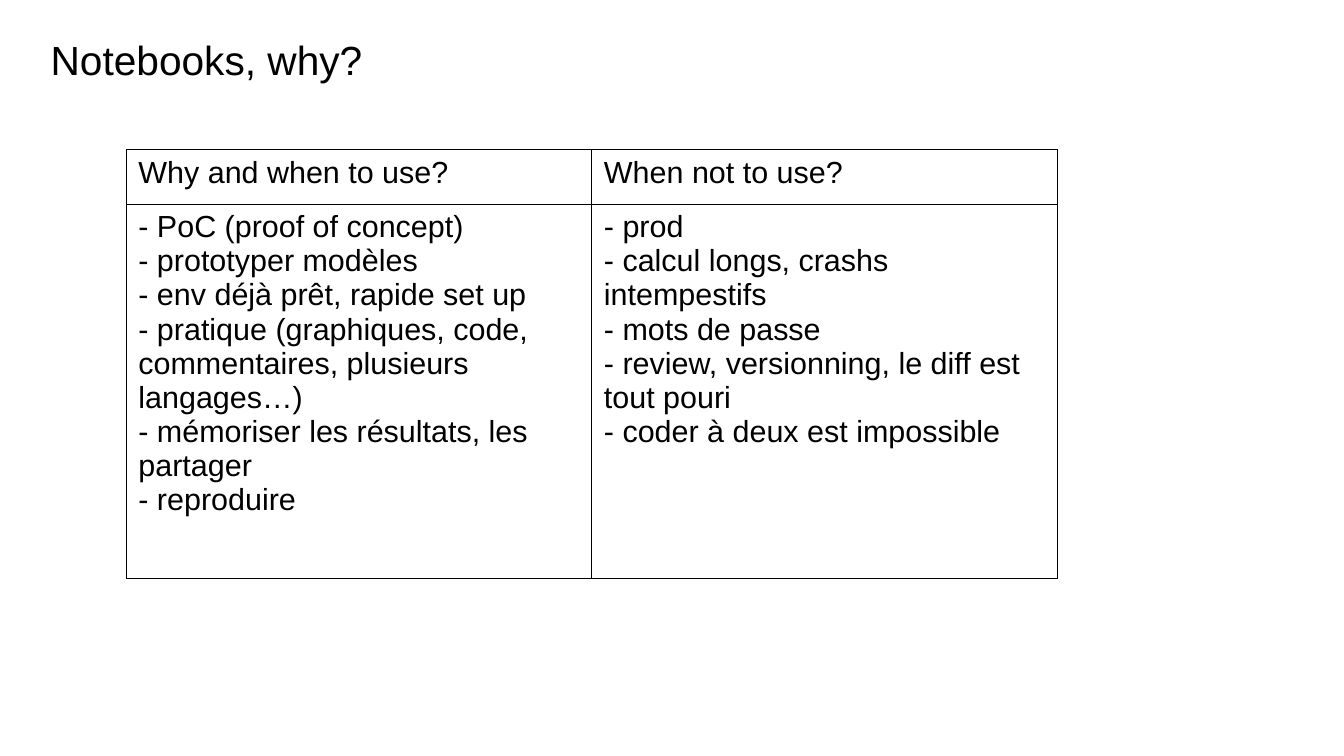
from lxml import etree
from pptx import Presentation
from pptx import util as u
from pptx.dml import color
from pptx.enum import text
from pptx.oxml import ns

COLORS = {"ink": "000000", "paper": "FFFFFF"}
FONT = "Arial"


def write(tf, content, size=18, ink="ink", align=text.PP_ALIGN.LEFT):
    """Fill a text frame, one paragraph for each line of content."""
    tf.word_wrap = True
    for i, line in enumerate(content.split("\n")):
        p = tf.paragraphs[0] if i == 0 else tf.add_paragraph()
        p.alignment = align
        p.line_spacing = 1.0
        p.space_before = u.Pt(0)
        r = p.add_run()
        r.text = line
        r.font.name = FONT
        r.font.size = u.Pt(size)
        r.font.bold = False
        r.font.color.rgb = color.RGBColor.from_string(COLORS[ink])


def add_borders(cell, width=0.57):
    """Draw a thin solid line on all four sides of a table cell."""
    tc_pr = cell._tc.get_or_add_tcPr()
    for i, side in enumerate(("lnL", "lnR", "lnT", "lnB")):
        ln = etree.Element(ns.qn(f"a:{side}"), w=str(u.Pt(width)))
        fill = etree.SubElement(ln, ns.qn("a:solidFill"))
        etree.SubElement(fill, ns.qn("a:srgbClr"), val=COLORS["ink"])
        tc_pr.insert(i, ln)


# Slide
prs = Presentation()
prs.slide_width, prs.slide_height = u.Cm(28), u.Cm(15.75)
s = prs.slides.add_slide(prs.slide_layouts[5])
s.background.fill.solid()
s.background.fill.fore_color.rgb = color.RGBColor.from_string(COLORS["paper"])

# Title
title = s.shapes.title
title.left, title.top = u.Cm(0.8), u.Cm(0.6)
title.width, title.height = u.Cm(12.4), u.Cm(1.2)
tf = title.text_frame
tf.vertical_anchor = text.MSO_ANCHOR.TOP
tf.auto_size = text.MSO_AUTO_SIZE.NONE
write(tf, "Notebooks, why?", size=24)

# Table of reasons for and against
rows = [
    ("Why and when to use?", "When not to use?"),
    (
        "- PoC (proof of concept)\n"
        "- prototyper modèles\n"
        "- env déjà prêt, rapide set up\n"
        "- pratique (graphiques, code, commentaires, plusieurs langages…)\n"
        "- mémoriser les résultats, les partager\n"
        "- reproduire",
        "- prod\n"
        "- calcul longs, crashs intempestifs\n"
        "- mots de passe\n"
        "- review, versionning, le diff est tout pouri\n"
        "- coder à deux est impossible",
    ),
]
heights = [1.13, 7.8]
table = s.shapes.add_table(
    len(rows), 2, u.Cm(2.63), u.Cm(3.12), u.Cm(19.4), u.Cm(sum(heights))
).table
table.first_row = table.horz_banding = False

for row, height, entries in zip(table.rows, heights, rows):
    row.height = u.Cm(height)
    for cell, entry in zip(row.cells, entries):
        cell.fill.background()
        add_borders(cell)
        write(cell.text_frame, entry)

prs.save("out.pptx")
